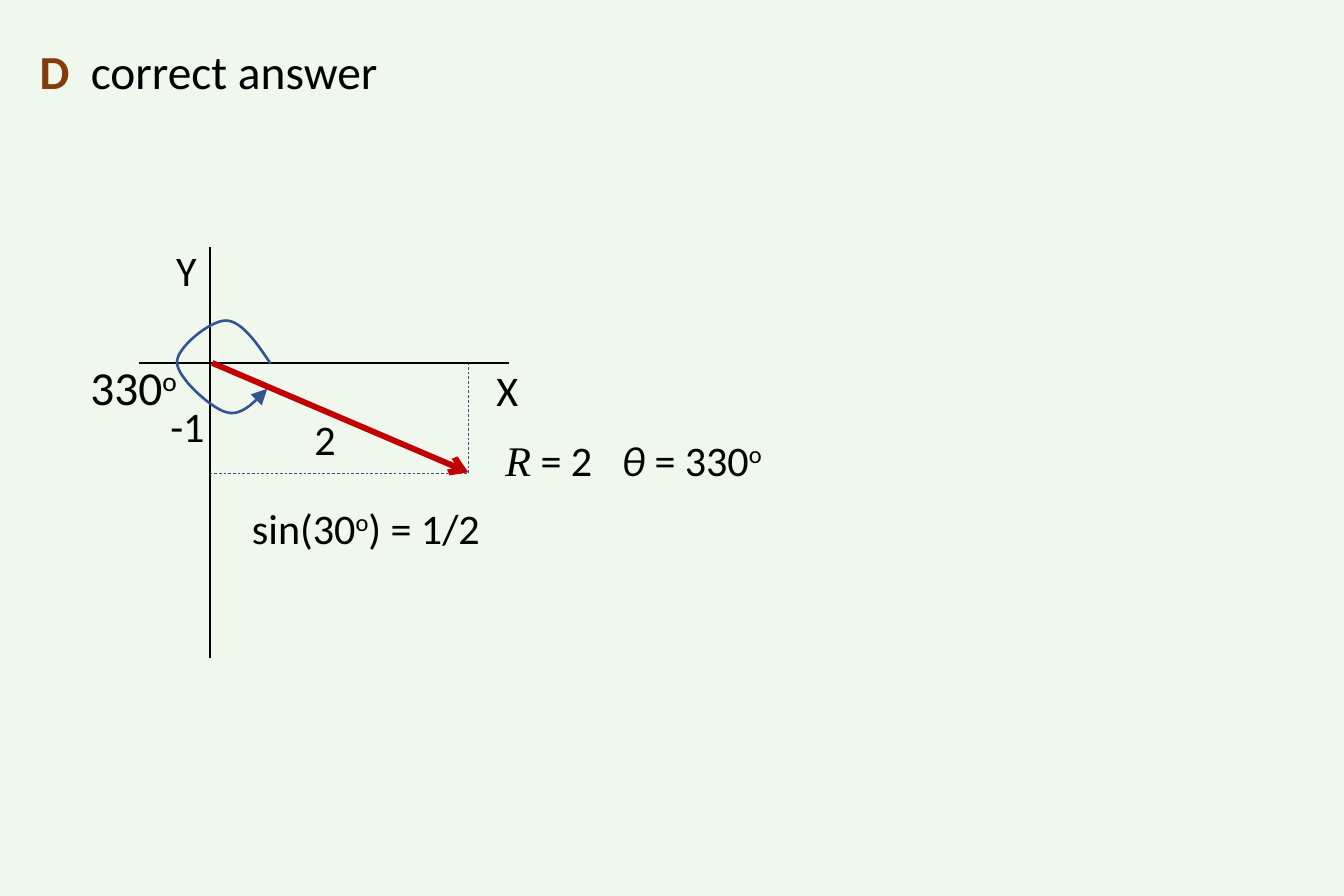
import pptx
import pptx.util
import pptx.dml.color
import pptx.enum.dml
import pptx.enum.shapes
import pptx.enum.text
import pptx.oxml.ns
from lxml import etree

Pt = pptx.util.Pt
SIZE = (510.24, 340.16)
HUES = {"back": "F0F7EC", "ink": "000000", "blue": "325491", "red": "C00000", "brown": "843C0B"}
SUP = {"sup": True}
SLANT = {"italic": True}

LABELS = [
    ((59.8, 89.3, 22.3, 26.6), [("Y", {})], {}),
    ((181.4, 134.8, 23, 26.6), [("X", {})], {}),
    ((112.3, 153.4, 23, 26.6), [("2", {})], {}),
    ((57.6, 148.3, 27.4, 26.6), [("-1", {})], {}),
    ((27.2, 132.5, 49, 28.8), [("330", {}), ("o", SUP)], {"size": 18}),
    ((88.6, 187.1, 105.8, 26.6), [("sin(30", {}), ("o", SUP), (") = 1/2", {})], {}),
    ((184.8, 161.3, 113, 26.6),
     [("R", {"italic": True, "face": "Times New Roman"}), (" = 2\t", {}),
      ("θ", SLANT), (" = 330", {}), ("o", SUP)], {"tab": 44.1}),
    ((8, 12.5, 144.7, 28.8),
     [("D", {"bold": True, "hue": "brown"}), ("\tcorrect answer", {})],
     {"size": 18, "tab": 19.4}),
]
BOX = (79.6, 137.8, 98.4, 42)
LINES = [
    ((79.7, 93.8), (79.7, 249.8), "ink", 0.5, None),
    ((193.2, 137.8), (52.8, 137.8), "ink", 0.5, None),
    ((80.6, 137.8), (177.8, 179.3), "red", 2.25, "arrow"),
]
START = (102.7, 138)
CURVES = [
    ((97.2, 129.6), (91.4, 121.7), (85.7, 121.7)),
    ((79.9, 121.7), (67.2, 131.8), (67.2, 137.5)),
    ((67.2, 143.3), (79.9, 154.8), (85.7, 156.4)),
    ((91.4, 158.4), (96.5, 152.8), (101.5, 147.6)),
]
STEPS = 16


def color(name):
    return pptx.dml.color.RGBColor.from_string(HUES[name])


def stroke(shape, hue, width, tail=None):
    line = shape.line
    line.color.rgb = color(hue)
    line.width = Pt(width)
    if tail:
        etree.SubElement(line._get_or_add_ln(), pptx.oxml.ns.qn("a:tailEnd"), type=tail)


def text(slide, place, runs, size=16, tab=None):
    box = slide.shapes.add_textbox(*map(Pt, place))
    frame = box.text_frame
    frame.word_wrap = False
    frame.auto_size = pptx.enum.text.MSO_AUTO_SIZE.SHAPE_TO_FIT_TEXT
    para = frame.paragraphs[0]
    if tab:
        tabs = etree.SubElement(para._p.get_or_add_pPr(), pptx.oxml.ns.qn("a:tabLst"))
        etree.SubElement(tabs, pptx.oxml.ns.qn("a:tab"), pos=str(Pt(tab)), algn="l")
    for words, style in runs:
        run = para.add_run()
        run.text = words
        font = run.font
        font.size = Pt(size)
        font.name = style.get("face", "Calibri")
        font.bold = style.get("bold", False)
        font.italic = style.get("italic", False)
        font.color.rgb = color(style.get("hue", "ink"))
        if style.get("sup"):
            run._r.get_or_add_rPr().set("baseline", "30000")


def bend(start, curves):
    points = []
    for curve in curves:
        knots = (start,) + curve
        for step in range(1, STEPS + 1):
            t = step / STEPS
            parts = ((1 - t) ** 3, 3 * t * (1 - t) ** 2, 3 * t * t * (1 - t), t ** 3)
            points.append(tuple(Pt(sum(w * k[i] for w, k in zip(parts, knots))) for i in (0, 1)))
        start = curve[-1]
    return points


def main():
    deck = pptx.Presentation()
    deck.slide_width, deck.slide_height = map(Pt, SIZE)
    slide = deck.slides.add_slide(deck.slide_layouts[6])
    fill = slide.background.fill
    fill.solid()
    fill.fore_color.rgb = color("back")

    rect = slide.shapes.add_shape(pptx.enum.shapes.MSO_SHAPE.RECTANGLE, *map(Pt, BOX))
    rect.shadow.inherit = False
    rect.fill.background()
    stroke(rect, "blue", 0.25)
    rect.line.dash_style = pptx.enum.dml.MSO_LINE.DASH

    for head, end, hue, width, tail in LINES:
        line = slide.shapes.add_connector(
            pptx.enum.shapes.MSO_CONNECTOR.STRAIGHT, *map(Pt, head + end))
        stroke(line, hue, width, tail)
        etree.SubElement(line._element.spPr, pptx.oxml.ns.qn("a:effectLst"))

    pen = slide.shapes.build_freeform(*map(Pt, START))
    pen.add_line_segments(bend(START, CURVES), close=False)
    arc = pen.convert_to_shape()
    arc.shadow.inherit = False
    arc.fill.background()
    stroke(arc, "blue", 1, "triangle")

    for place, runs, style in LABELS:
        text(slide, place, runs, **style)
    deck.save("out.pptx")


if __name__ == "__main__":
    main()
